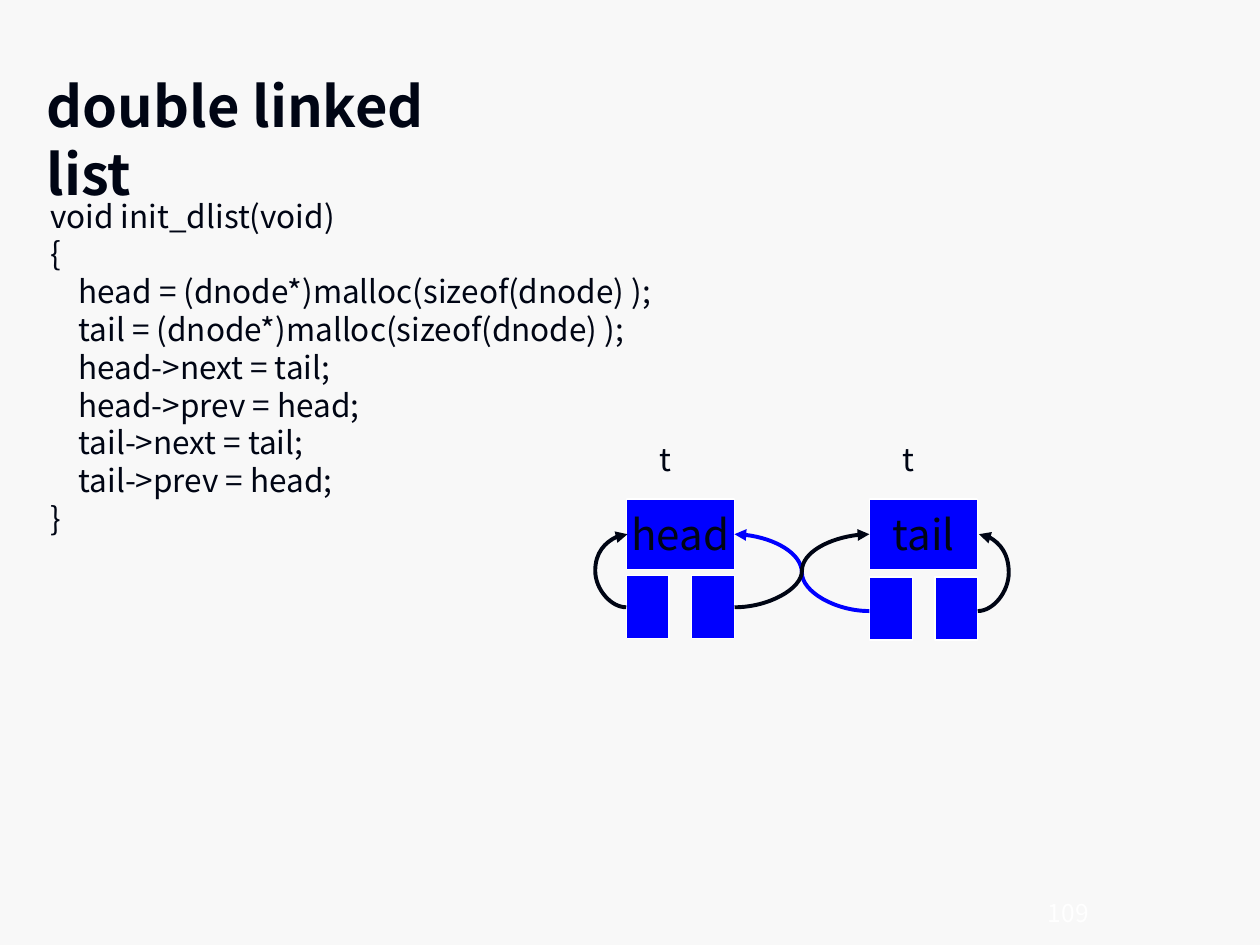
from pptx import Presentation
from pptx.dml.color import RGBColor
from pptx.enum.shapes import MSO_CONNECTOR, MSO_SHAPE
from pptx.enum.text import MSO_ANCHOR, MSO_AUTO_SIZE, PP_ALIGN
from pptx.oxml.ns import qn
from pptx.util import Inches, Pt
from lxml.etree import SubElement

COLORS = {"back": "F8F8F8", "ink": "000514", "blue": "0000FF", "white": "FFFFFF"}
FONT = "Noto Sans CJK KR"
CODE = """void init_dlist(void)
{
    head = (dnode*)malloc(sizeof(dnode) );
    tail = (dnode*)malloc(sizeof(dnode) );
    head->next = tail;
    head->prev = head;
    tail->next = tail;
    tail->prev = head;
}"""


def color(name):
    return RGBColor.from_string(COLORS[name])


class Deck:
    """Holds the style and the current slide."""

    def __init__(self):
        self.prs = Presentation()
        self.prs.slide_width, self.prs.slide_height = Inches(10), Inches(7.5)
        self.slide = self.prs.slides.add_slide(self.prs.slide_layouts[1])
        fill = self.slide.background.fill
        fill.solid()
        fill.fore_color.rgb = color("back")

    def put(self, frame, lines, size, ink="ink", bold=False,
            align=PP_ALIGN.LEFT, anchor=MSO_ANCHOR.TOP, wrap=True):
        """Set the lines of text in a frame."""
        frame.auto_size = MSO_AUTO_SIZE.NONE
        frame.word_wrap = wrap
        frame.vertical_anchor = anchor
        for i, line in enumerate(lines):
            para = frame.add_paragraph() if i else frame.paragraphs[0]
            props = para._p.get_or_add_pPr()
            props.set("marL", "0")
            props.set("indent", "0")
            SubElement(props, qn("a:buNone"))
            para.alignment = align
            para.space_before = Pt(0)
            para.line_spacing = Pt(size * 1.2)
            run = para.add_run()
            run.text = line
            font = run.font
            font.name, font.size, font.bold = FONT, Pt(size), bold
            font.color.rgb = color(ink)

    def holder(self, index, box, lines, size, bold=False):
        """Move and fill a placeholder of the template."""
        shape = self.slide.placeholders[index]
        shape.left, shape.top, shape.width, shape.height = map(Inches, box)
        self.put(shape.text_frame, lines, size, bold=bold)

    def label(self, box, text, size, ink="ink"):
        shape = self.slide.shapes.add_textbox(*map(Inches, box))
        self.put(shape.text_frame, [text], size, ink,
                 align=PP_ALIGN.CENTER, wrap=False)

    def block(self, box, text=None):
        shape = self.slide.shapes.add_shape(MSO_SHAPE.RECTANGLE, *map(Inches, box))
        shape.shadow.inherit = False
        shape.fill.solid()
        shape.fill.fore_color.rgb = color("blue")
        shape.line.color.rgb = color("white")
        shape.line.width = Pt(0.75)
        if text:
            self.put(shape.text_frame, [text], 24, align=PP_ALIGN.CENTER,
                     anchor=MSO_ANCHOR.MIDDLE, wrap=False)

    def node(self, left, low, name):
        """Draw a named cell with its two link cells below and a label above."""
        self.label((left + 0.17, 3.44, 0.28, 0.4), "t", 18)
        self.block((left, 3.96, 0.86, 0.56), name)
        for shift in (0, 0.52):
            self.block((left + shift, low, 0.34, 0.5))

    def curve(self, start, end, bend=0.5, ink="ink"):
        """Draw a curved arrow; bend is the turn as a share of its width."""
        link = self.slide.shapes.add_connector(
            MSO_CONNECTOR.CURVE, *map(Inches, start + end))
        link.line.color.rgb = color(ink)
        link.line.width = Pt(2.25)
        props = link._element.spPr
        guides = props.find(qn("a:prstGeom")).find(qn("a:avLst"))
        SubElement(guides, qn("a:gd"), name="adj1", fmla=f"val {round(bend * 100000)}")
        SubElement(props.find(qn("a:ln")), qn("a:tailEnd"), type="triangle")
        SubElement(props, qn("a:effectLst"))

    def save(self):
        self.prs.save("out.pptx")


def main():
    deck = Deck()
    deck.holder(0, (0.27, 0.52, 3.68, 0.64), ["double linked list"], 32, bold=True)
    deck.holder(1, (0.3, 1.51, 5.06, 2.83), CODE.split("\n"), 18)

    deck.node(4.97, 4.57, "head")
    deck.node(6.9, 4.58, "tail")
    deck.curve((6.9, 4.85), (5.83, 4.24), ink="blue")
    deck.curve((5.83, 4.82), (6.9, 4.24))
    # The loops are almost upright, so their bend is many times their width.
    deck.curve((7.76, 4.85), (7.77, 4.24), bend=25)
    deck.curve((4.97, 4.82), (4.98, 4.24), bend=-25)

    deck.label((8.18, 7.08, 0.6, 0.33), "109", 14, "white")
    deck.save()


if __name__ == "__main__":
    main()
